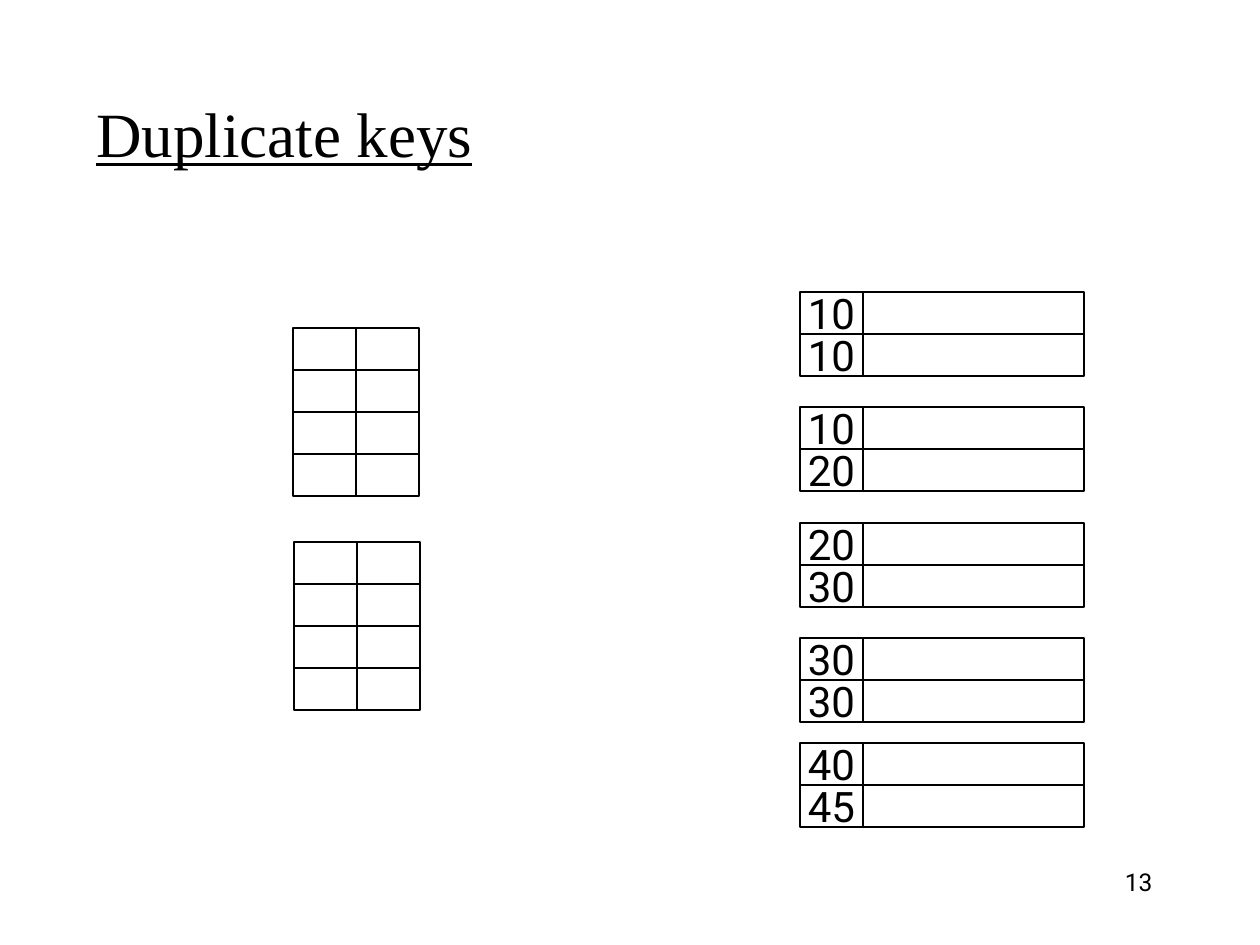
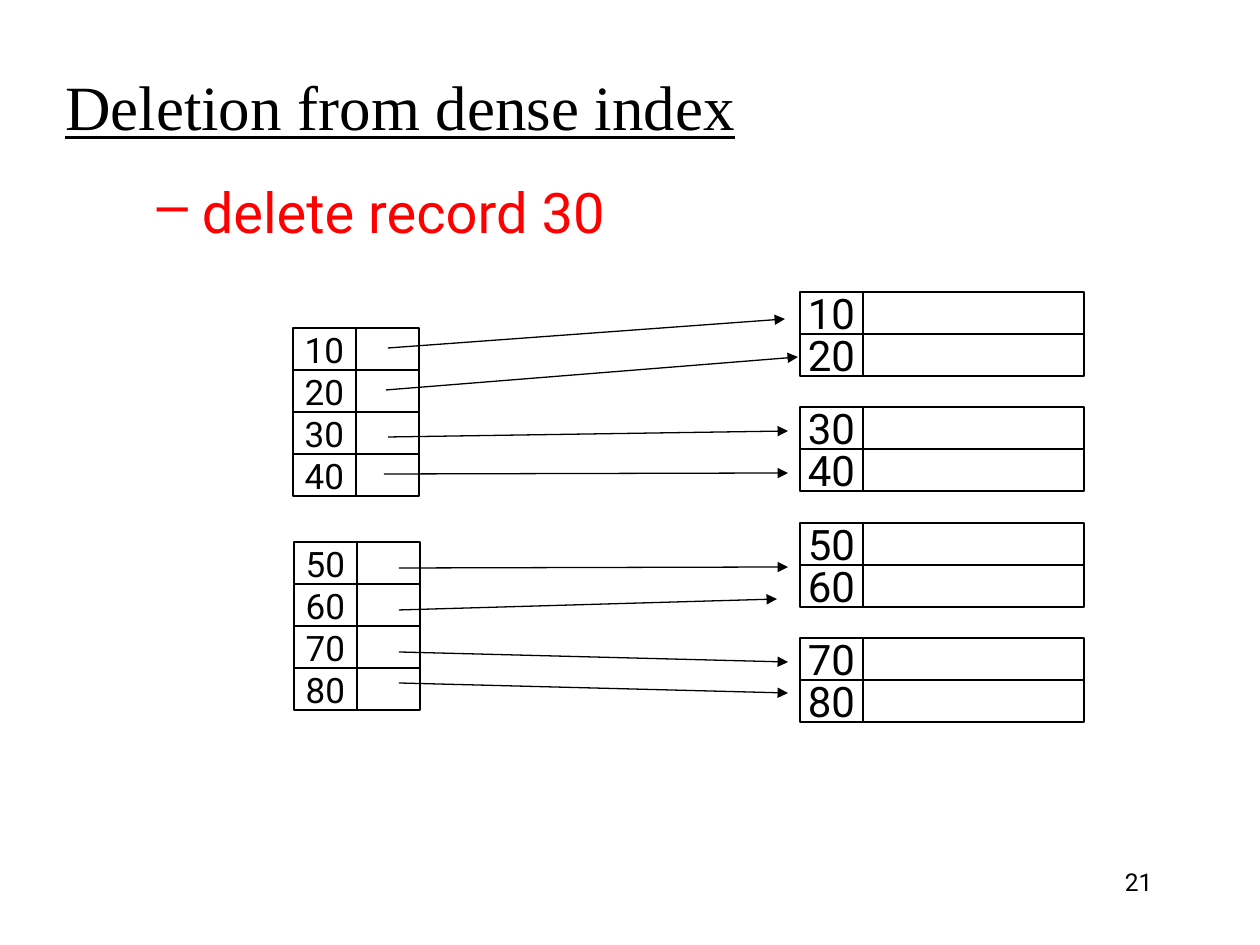
from lxml.etree import SubElement
from pptx import Presentation
from pptx.dml.color import RGBColor
from pptx.enum.shapes import MSO_CONNECTOR, MSO_SHAPE
from pptx.enum.text import MSO_ANCHOR as ANCHOR, MSO_AUTO_SIZE, PP_ALIGN as ALIGN
from pptx.oxml.ns import qn
from pptx.util import Pt

PX = 914400 / 126
BLACK = RGBColor(0, 0, 0)
WHITE = RGBColor(255, 255, 255)
RED = RGBColor(255, 0, 0)
SANS, SERIF = "Roboto", "Times New Roman"
ROW, KEY, DATA = 42, 63, 221  # row height, key width, record data width


def emu(*sizes):
    return [round(size * PX) for size in sizes]


def write(shape, text, size, align, anchor=ANCHOR.MIDDLE, font=SANS, color=BLACK, wrap=False):
    """Put one styled run in the shape and return the run."""
    frame = shape.text_frame
    frame.word_wrap = wrap
    frame.vertical_anchor = anchor
    par = frame.paragraphs[0]
    par.alignment = align
    run = par.add_run()
    run.text = text
    run.font.size = Pt(size)
    run.font.name = font
    run.font.color.rgb = color
    return run


# Each block: left, top, data width, key size, keys
RECORD_TOPS = [292, 407, 523, 638, 743]
INDEX_SPOTS = [(293, 328), (294, 542)]

slides = [
    dict(
        title="Duplicate keys", place=(84, 84, 462, 97), number="13",
        records=[("10", "10"), ("10", "20"), ("20", "30"), ("30", "30"), ("40", "45")],
        index=[("",) * 4] * 2,
        arrows=[],
        task="",
    ),
    dict(
        title="Deletion from dense index", place=(53, 53, 1071, 105), number="21",
        records=[("10", "20"), ("30", "40"), ("50", "60"), ("70", "80")],
        index=[("10", "20", "30", "40"), ("50", "60", "70", "80")],
        arrows=[
            (388, 348, 785, 319), (386, 390, 798, 357),
            (388, 437, 788, 431), (384, 474, 788, 473),
            (399, 568, 788, 567), (399, 610, 777, 599),
            (399, 652, 788, 662), (399, 683, 788, 693),
        ],
        task=" delete record 30",
    ),
]

deck = Presentation()
deck.slide_width, deck.slide_height = emu(1260, 945)

for page in slides:
    shapes = deck.slides.add_slide(deck.slide_layouts[6]).shapes

    number = shapes.add_textbox(*emu(903, 861, 262, 63))
    write(number, page["number"], 14, ALIGN.RIGHT, ANCHOR.TOP, wrap=True)
    title = shapes.add_textbox(*emu(*page["place"]))
    run = write(title, page["title"], 36, ALIGN.LEFT, font=SERIF, wrap=True)
    run.font.underline = True

    blocks = [(800, top, DATA, 24, keys)
              for top, keys in zip(RECORD_TOPS, page["records"])]
    blocks += [(left, top, KEY, 20, keys)
               for (left, top), keys in zip(INDEX_SPOTS, page["index"])]
    for left, top, width, size, keys in blocks:
        for row, key in enumerate(keys):
            for x, wide, text in [(left, KEY, key), (left + KEY, width, "")]:
                cell = shapes.add_shape(
                    MSO_SHAPE.RECTANGLE, *emu(x, top + row * ROW, wide, ROW))
                cell.shadow.inherit = False
                cell.fill.solid()
                cell.fill.fore_color.rgb = WHITE
                cell.line.color.rgb = BLACK
                cell.line.width = Pt(0.75)
                if text:
                    write(cell, text, size, ALIGN.CENTER)

    for ends in page["arrows"]:
        arrow = shapes.add_connector(MSO_CONNECTOR.STRAIGHT, *emu(*ends))
        arrow.line.color.rgb = BLACK
        arrow.line.width = Pt(0.75)
        SubElement(arrow.line._get_or_add_ln(), qn("a:tailEnd"), type="triangle")
        SubElement(arrow._element.spPr, qn("a:effectLst"))

    if page["task"]:
        task = shapes.add_textbox(*emu(69, 171, 561, 81))
        par = task.text_frame.paragraphs[0]
        par.level = 1
        props = par._p.get_or_add_pPr()
        props.set("marL", str(emu(63)[0]))
        props.set("indent", "0")
        tint = SubElement(props, qn("a:buClr"))
        SubElement(tint, qn("a:srgbClr"), val=str(RED))
        SubElement(props, qn("a:buChar"), char="–")
        write(task, page["task"], 32, ALIGN.CENTER, color=RED)
        task.text_frame.auto_size = MSO_AUTO_SIZE.SHAPE_TO_FIT_TEXT

deck.save("out.pptx")
